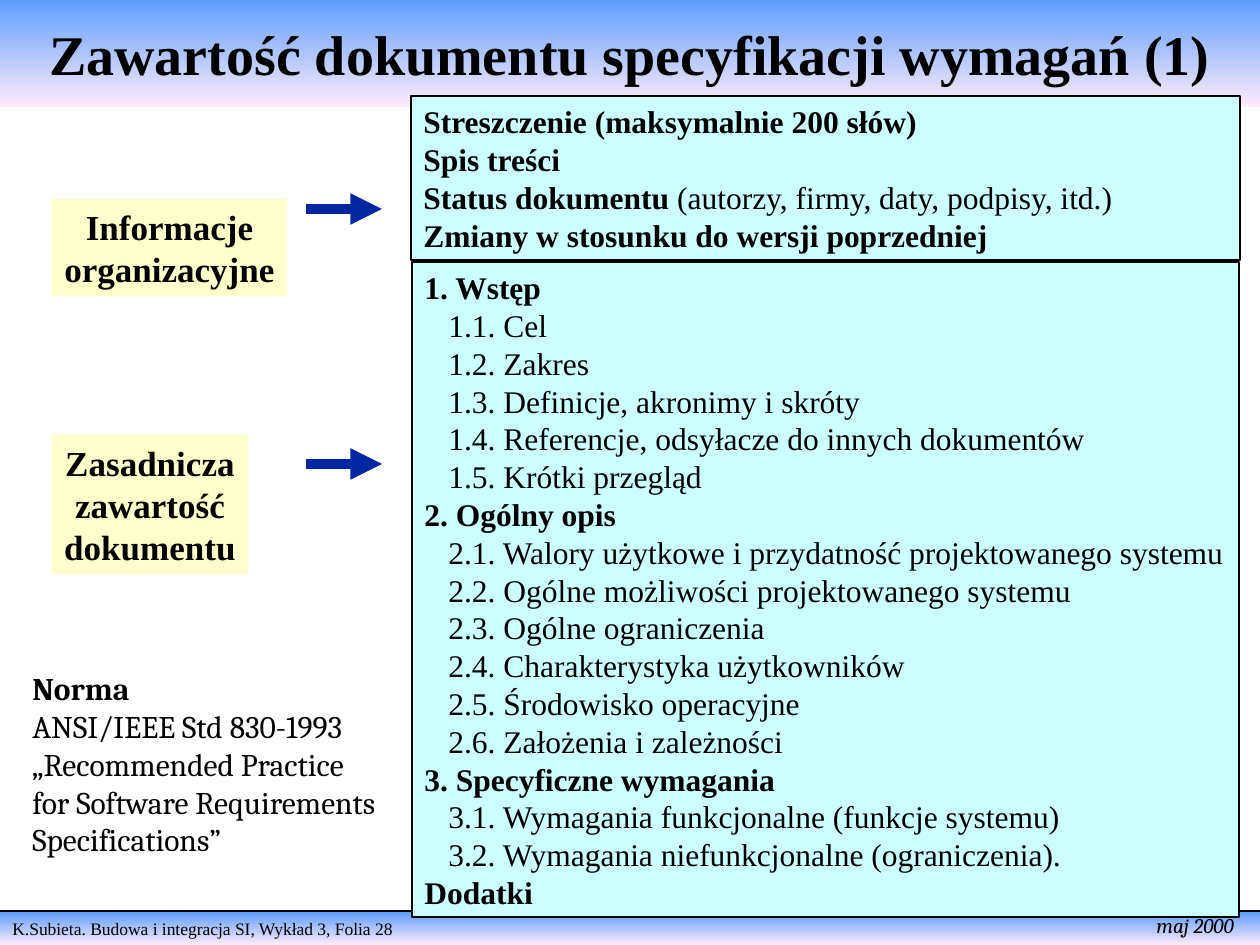
import pptx
import pptx.dml.color
import pptx.enum.shapes
import pptx.enum.text
import pptx.util
from lxml import etree
from pptx.oxml.ns import qn

EMU_PER_PX = 914400 / 126
SLIDE_BOX = (0, 0, 1260, 945)
SERIF = "Times New Roman"
NOTE_FONT = "Cambria"
LINE_PITCH = 1.2
COLORS = {
    "text": "000000",
    "band_top": "5E9EFF",
    "band_bottom": "FFEBFA",
    "contents": "CCFFFF",
    "label": "FFFFCC",
    "arrow": "00279F",
}
ALIGN = pptx.enum.text.PP_ALIGN
ANCHOR = pptx.enum.text.MSO_ANCHOR

# Each line is a list of (text, bold) parts.
ORGANIZATIONAL = [
    [("Streszczenie (maksymalnie 200 słów)", True)],
    [("Spis treści", True)],
    [("Status dokumentu ", True), ("(autorzy, firmy, daty, podpisy, itd.)", False)],
    [("Zmiany w stosunku do wersji poprzedniej", True)],
]
CHAPTERS = [
    ("1. Wstęp", [
        "1.1. Cel",
        "1.2. Zakres",
        "1.3. Definicje, akronimy i skróty",
        "1.4. Referencje, odsyłacze do innych dokumentów",
        "1.5. Krótki przegląd",
    ]),
    ("2. Ogólny opis", [
        "2.1. Walory użytkowe i przydatność projektowanego systemu",
        "2.2. Ogólne możliwości projektowanego systemu",
        "2.3. Ogólne ograniczenia",
        "2.4. Charakterystyka użytkowników",
        "2.5. Środowisko operacyjne",
        "2.6. Założenia i zależności",
    ]),
    ("3. Specyficzne wymagania", [
        "3.1. Wymagania funkcjonalne (funkcje systemu)",
        "3.2. Wymagania niefunkcjonalne (ograniczenia).",
    ]),
    ("Dodatki", []),
]
STANDARD = [
    ("Norma", True),
    ("ANSI/IEEE Std 830-1993", False),
    ("„Recommended Practice for Software Requirements Specifications”", False),
]


def px(length):
    return pptx.util.Emu(round(length * EMU_PER_PX))


def rgb(name):
    return pptx.dml.color.RGBColor.from_string(COLORS[name])


def add_panel(slide, box, fill=None, outlined=False):
    panel = slide.shapes.add_shape(
        pptx.enum.shapes.MSO_SHAPE.RECTANGLE, *map(px, box))
    panel.shadow.inherit = False
    if fill:
        panel.fill.solid()
        panel.fill.fore_color.rgb = rgb(fill)
    else:
        panel.fill.gradient()
        panel.fill.gradient_angle = 270
        for stop, name in zip(panel.fill.gradient_stops, ("band_top", "band_bottom")):
            stop.position = 0 if name == "band_top" else 1
            stop.color.rgb = rgb(name)
    if outlined:
        panel.line.color.rgb = rgb("text")
        panel.line.width = pptx.util.Pt(1)
    else:
        panel.line.fill.background()
    return panel


def write_lines(shape, lines, size, font=SERIF, align=ALIGN.LEFT,
                anchor=ANCHOR.TOP, wrap=True, italic=False, indent=0):
    """Fill a shape with lines of (text, bold) parts; regular lines get the indent."""
    frame = shape.text_frame
    frame.word_wrap = wrap
    frame.vertical_anchor = anchor
    for number, parts in enumerate(lines):
        paragraph = frame.add_paragraph() if number else frame.paragraphs[0]
        paragraph.alignment = align
        paragraph.line_spacing = pptx.util.Pt(size * LINE_PITCH)
        first_bold = parts[0][1]
        if indent and not first_bold:
            properties = paragraph._p.get_or_add_pPr()
            properties.set("marL", str(px(indent)))
            properties.set("indent", "0")
        paragraph.font.name = font
        paragraph.font.size = pptx.util.Pt(size)
        paragraph.font.italic = italic
        paragraph.font.color.rgb = rgb("text")
        paragraph.font.bold = first_bold
        for text, bold in parts:
            run = paragraph.add_run()
            run.text = text
            if bold != first_bold:
                run.font.bold = bold


def add_line(slide, start, end, color, width):
    line = slide.shapes.add_connector(
        pptx.enum.shapes.MSO_CONNECTOR.STRAIGHT, *map(px, start + end))
    line.line.color.rgb = rgb(color)
    line.line.width = pptx.util.Pt(width)
    etree.SubElement(line._element.spPr, qn("a:effectLst"))
    return line


def add_footer(slide, box):
    left, top, width, height = box
    band = add_panel(slide, (left, top + 1, width, height - 1))
    write_lines(band, [[("K.Subieta. Budowa i integracja SI, Wykład 3, Folia 28", False)]], 10)
    add_line(slide, (left, top), (left + width, top), "text", 1)
    date = slide.shapes.add_textbox(
        *map(px, (left + width - 116, top - 5, 103, 38)))
    write_lines(date, [[("maj 2000", False)]], 12, NOTE_FONT, wrap=False, italic=True)


def add_title(slide, box):
    title = add_panel(slide, box)
    write_lines(title, [[("Zawartość dokumentu specyfikacji wymagań (1)", True)]], 32,
                align=ALIGN.CENTER, anchor=ANCHOR.MIDDLE)


def add_contents(slide, box):
    """Stack the organizational panel above the slightly narrower chapter panel."""
    left, top, width, height = box
    organizational = add_panel(slide, (left, top, width, 164), "contents", True)
    write_lines(organizational, ORGANIZATIONAL, 18)

    chapter_lines = []
    for heading, sections in CHAPTERS:
        chapter_lines.append([(heading, True)])
        chapter_lines += [[(section, False)] for section in sections]
    chapters = add_panel(
        slide, (left + 1, top + 166, width - 2, height - 166), "contents", True)
    write_lines(chapters, chapter_lines, 18, indent=24)


def add_label(slide, box, words, arrow_top):
    """Place a label and the arrow leading from it to the contents."""
    label = add_panel(slide, box, "label")
    write_lines(label, [[(word, True)] for word in words], 20,
                align=ALIGN.CENTER, wrap=False)
    arrow_left = box[0] + 254
    arrow_y = box[1] + arrow_top
    arrow = add_line(slide, (arrow_left, arrow_y), (arrow_left + 76, arrow_y), "arrow", 6)
    etree.SubElement(arrow.line._get_or_add_ln(), qn("a:tailEnd"), type="triangle")


def add_standard(slide, box):
    standard = slide.shapes.add_textbox(*map(px, box))
    write_lines(standard, [[part] for part in STANDARD], 18, NOTE_FONT)


def main():
    presentation = pptx.Presentation()
    presentation.slide_width, presentation.slide_height = map(px, SLIDE_BOX[2:])
    slide = presentation.slides.add_slide(presentation.slide_layouts[6])
    add_footer(slide, (0, 911, 1260, 34))
    add_title(slide, (0, 0, 1260, 107))
    add_contents(slide, (411, 96, 829, 821))
    add_label(slide, (52, 199, 235, 97), ["Informacje", "organizacyjne"], 10)
    add_label(slide, (52, 435, 196, 139), ["Zasadnicza", "zawartość", "dokumentu"], 29)
    add_standard(slide, (20, 663, 379, 202))
    presentation.save("out.pptx")


if __name__ == "__main__":
    main()
